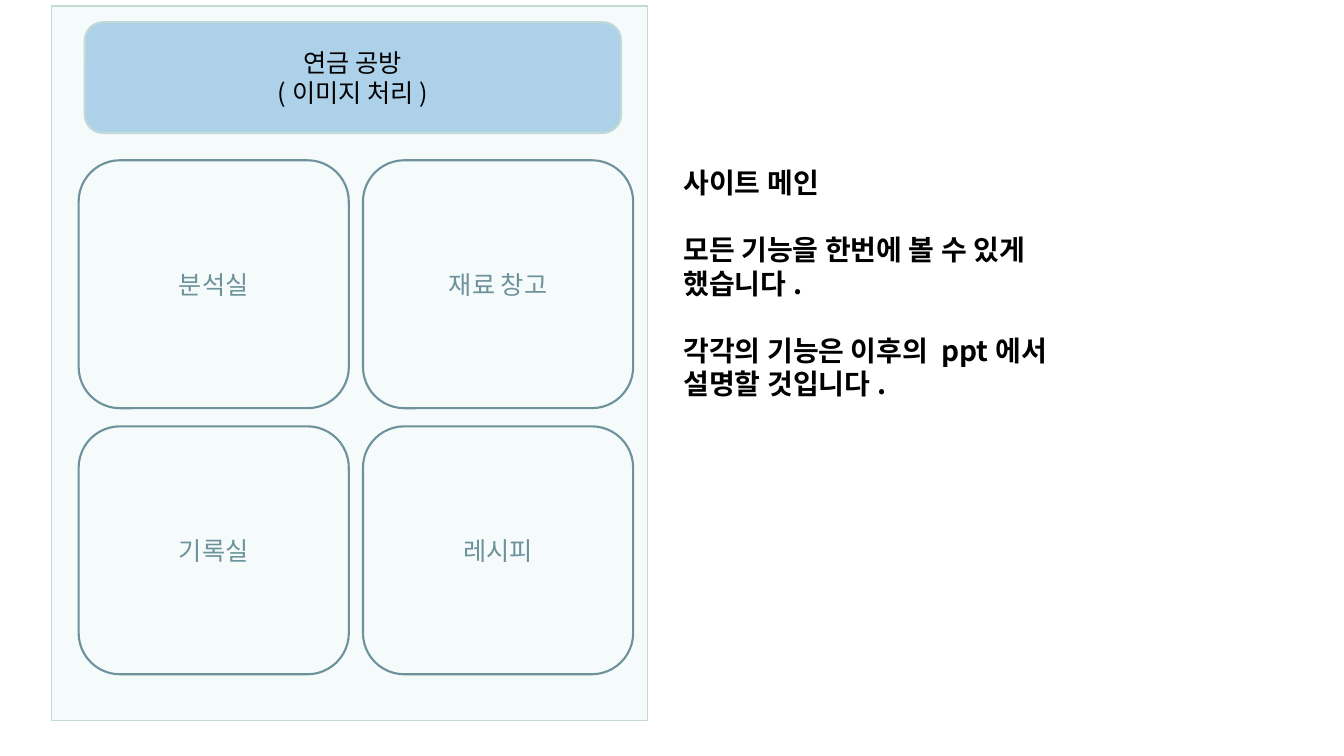
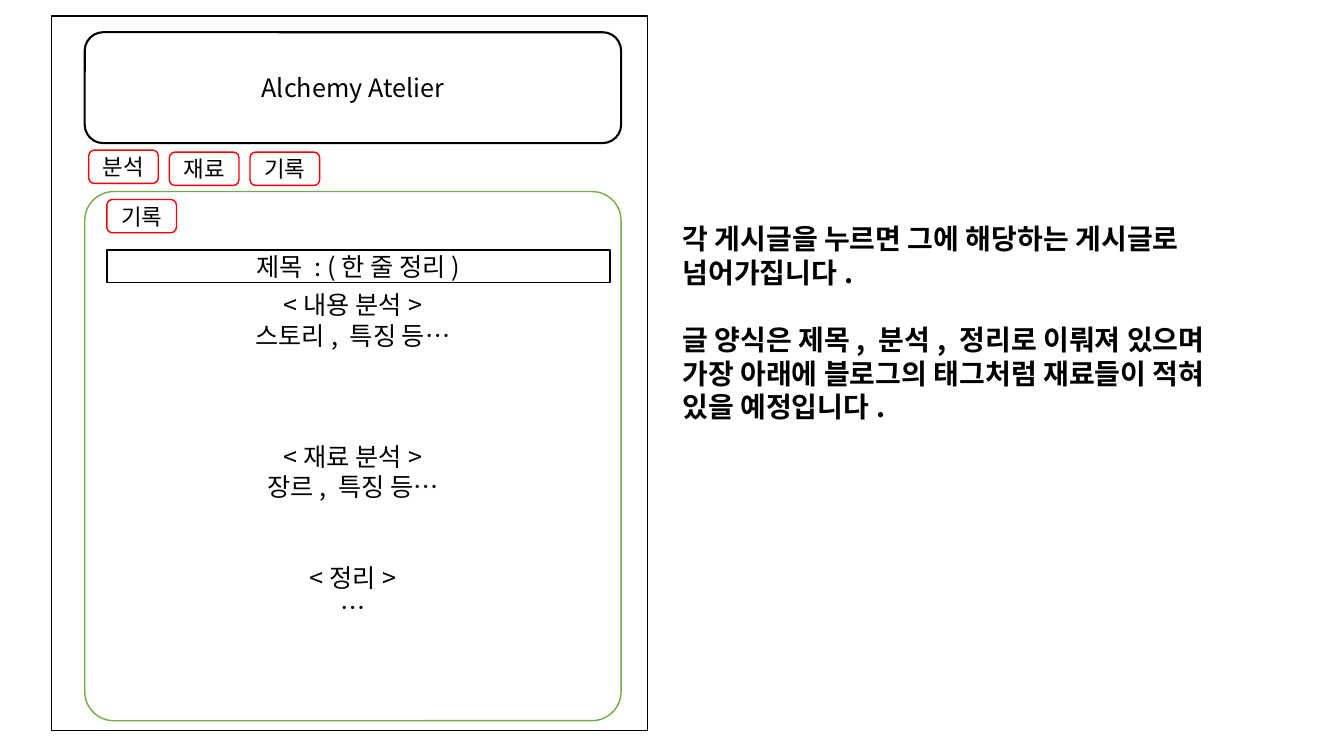
from dataclasses import dataclass
from lxml import etree
from pptx import Presentation
from pptx.dml.color import RGBColor
from pptx.enum import shapes, text
from pptx.oxml.ns import qn
from pptx.util import Inches, Pt


@dataclass(frozen=True)
class Theme:
    font: str = "Noto Sans CJK KR"
    black: str = "000000"
    white: str = "FFFFFF"
    mist: str = "F5FAFA"
    sage: str = "C1DAD6"
    sky: str = "ACD1E9"
    slate: str = "6D929B"
    green: str = "70AD47"
    red: str = "FF0000"
    tag: int = 16
    body: int = 18
    note: int = 20
    leading: float = 1.2


T = Theme()
RECT = shapes.MSO_SHAPE.RECTANGLE
ROUND = shapes.MSO_SHAPE.ROUNDED_RECTANGLE

MAIN_HEADER = ["연금 공방", "(이미지 처리)"]
ROOMS = [["분석실", "재료 창고"], ["기록실", "레시피"]]
MAIN_NOTE = [
    "사이트 메인",
    ("모든 기능을 한번에 볼 수 있게 했습니다.", 1),
    ("각각의 기능은 이후의 ppt에서 설명할 것입니다.", 1),
]
POST_HEADER = ["Alchemy Atelier"]
TABS = [("분석", 1.49), ("재료", 1.51), ("기록", 1.51)]
POST_TAG = "기록"
POST_TITLE = "제목 : (한 줄 정리)"
POST_BODY = [
    "<내용 분석>", "스토리, 특징 등…",
    ("<재료 분석>", 3), "장르, 특징 등…",
    ("<정리>", 2), "…",
]
POST_NOTE = [
    "각 게시글을 누르면 그에 해당하는 게시글로 넘어가집니다.",
    ("글 양식은 제목, 분석, 정리로 이뤄져 있으며 가장 아래에 블로그의 "
     "태그처럼 재료들이 적혀 있을 예정입니다.", 1),
]


def write(tf, lines, size=T.body, color=T.black, bold=False,
          align=text.PP_ALIGN.CENTER, anchor=text.MSO_ANCHOR.MIDDLE):
    tf.word_wrap = True
    tf.vertical_anchor = anchor
    for i, line in enumerate(lines):
        content, gap = (line, 0) if isinstance(line, str) else line
        p = tf.paragraphs[0] if i == 0 else tf.add_paragraph()
        p.alignment = align
        p.line_spacing = Pt(size * T.leading)
        if gap:
            p.space_before = Pt(gap * size * T.leading)
        r = p.add_run()
        r.text = content
        r.font.size = Pt(size)
        r.font.bold = bold
        r.font.color.rgb = RGBColor.from_string(color)
        r.font.name = T.font
        ea = etree.SubElement(r.font._element, qn("a:ea"))
        ea.set("typeface", T.font)


def box(parent, kind, place, fill, line, width=1, lines=(), adj=None, **fmt):
    sp = parent.add_shape(kind, *map(Inches, place))
    sp.shadow.inherit = False
    sp.fill.solid()
    sp.fill.fore_color.rgb = RGBColor.from_string(fill)
    sp.line.color.rgb = RGBColor.from_string(line)
    sp.line.width = Pt(width)
    if adj is not None:
        sp.adjustments[0] = adj
    if lines:
        write(sp.text_frame, lines, **fmt)


def add_screen(prs, top, header, fill, header_fill, line):
    slide = prs.slides.add_slide(prs.slide_layouts[6])
    screen = slide.shapes.add_group_shape().shapes
    box(screen, RECT, (0.51, top, 5.91, 7.09), fill, line)
    box(screen, ROUND, (0.84, top + 0.16, 5.32, 1.1), header_fill, line,
        1.5, header)
    return slide, screen


def add_note(slide, place, lines):
    tf = slide.shapes.add_textbox(*map(Inches, place)).text_frame
    write(tf, lines, size=T.note, bold=True, align=text.PP_ALIGN.LEFT,
          anchor=text.MSO_ANCHOR.TOP)


def add_tag(screen, label, left, top):
    box(screen, ROUND, (left, top, 0.69, 0.33), T.white, T.red, 1,
        [label], size=T.tag)


def main_page(prs):
    slide, screen = add_screen(prs, 0.06, MAIN_HEADER, T.mist, T.sky, T.sage)
    for row, names in enumerate(ROOMS):
        for col, name in enumerate(names):
            place = (0.78 + col * 2.82, 1.59 + row * 2.64, 2.68, 2.46)
            box(screen, ROUND, place, T.mist, T.slate, 1.5, [name],
                color=T.slate)
    add_note(slide, (6.68, 1.59, 4.38, 2.79), MAIN_NOTE)


def post_page(prs):
    slide, screen = add_screen(prs, 0.16, POST_HEADER, T.white, T.white,
                               T.black)
    box(screen, ROUND, (0.84, 1.9, 5.32, 5.25), T.white, T.green, 1,
        POST_BODY, adj=0.055)
    for i, (label, top) in enumerate(TABS):
        add_tag(screen, label, 0.88 + i * 0.8, top)
    add_tag(screen, POST_TAG, 1.06, 1.98)
    box(screen, RECT, (1.06, 2.48, 4.99, 0.32), T.white, T.black, 1,
        [POST_TITLE])
    add_note(slide, (6.67, 2.15, 5.41, 2.79), POST_NOTE)


def main():
    prs = Presentation()
    prs.slide_width, prs.slide_height = Inches(13.33), Inches(7.5)
    main_page(prs)
    post_page(prs)
    prs.save("out.pptx")


if __name__ == "__main__":
    main()
